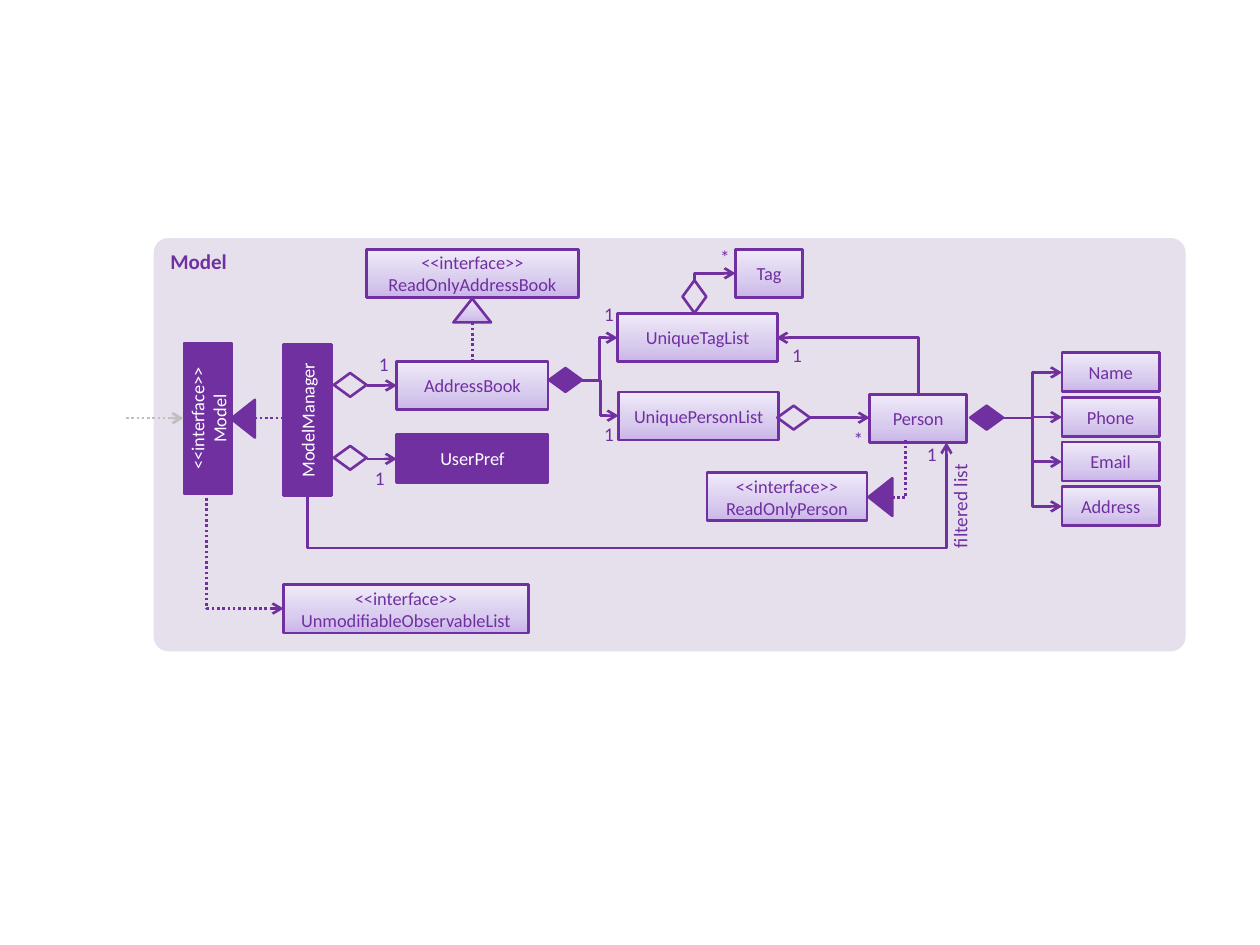
from copy import deepcopy
from dataclasses import dataclass

from lxml.etree import SubElement
from pptx import Presentation
from pptx.dml.color import RGBColor
from pptx.enum.dml import MSO_LINE as Dash
from pptx.enum.shapes import MSO_CONNECTOR as Link, MSO_SHAPE as Shape
from pptx.enum.text import MSO_ANCHOR as Anchor, PP_ALIGN as Align
from pptx.oxml.ns import qn
from pptx.util import Cm, Pt


@dataclass(frozen=True)
class Theme:
    """Colours, font and sizes of the diagram."""

    accent: str = "7030A0"
    panel: str = "E6E0EC"
    white: str = "FFFFFF"
    muted: str = "BFBFBF"
    shades: tuple = ((0, "C9B5E8"), (0.35, "D8CBEE"), (1, "F0EAF9"))
    font: str = "Calibri"
    heading: float = 12
    label: float = 11
    body: float = 10.5
    stroke: float = 1.5


def write(frame, text, *, font, size, color, bold=False, align=Align.CENTER, anchor=Anchor.MIDDLE):
    """Put text into a frame, one paragraph a line."""
    frame.word_wrap = True
    frame.vertical_anchor = anchor
    frame.text = text
    for para in frame.paragraphs:
        para.alignment = align
        for span in para.runs:
            span.font.name = font
            span.font.size = Pt(size)
            span.font.bold = bold
            span.font.color.rgb = RGBColor.from_string(color)


class Diagram:
    """Draw class-diagram elements on a page, with lengths in centimetres."""

    def __init__(self, page, theme):
        """Keep the page and its theme."""
        self.page = page
        self.theme = theme

    def shape(self, kind, left, top, width, height, fill=None, line=True, turn=0):
        """Add a preset shape; the fill is a colour, a tuple of shades or None."""
        box = self.page.shapes.add_shape(kind, Cm(left), Cm(top), Cm(width), Cm(height))
        box.shadow.inherit = False
        box.rotation = turn
        if fill is None:
            box.fill.background()
        elif isinstance(fill, tuple):
            self.shade(box, fill)
        else:
            box.fill.solid()
            box.fill.fore_color.rgb = RGBColor.from_string(fill)
        if line:
            box.line.color.rgb = RGBColor.from_string(self.theme.accent)
            box.line.width = Pt(self.theme.stroke)
        else:
            box.line.fill.background()
        return box

    def shade(self, box, shades):
        """Fill a box with a three-stop vertical gradient."""
        box.fill.gradient()
        box.fill.gradient_angle = 90
        stops = box._element.spPr.find(qn("a:gradFill")).find(qn("a:gsLst"))
        stops.insert(1, deepcopy(stops[0]))
        for stop, (position, color) in zip(box.fill.gradient_stops, shades):
            stop.position = position
            stop.color.rgb = RGBColor.from_string(color)

    def panel(self, title, left, top, width, height):
        """Add the rounded background with its heading."""
        theme = self.theme
        box = self.shape(Shape.ROUNDED_RECTANGLE, left, top, width, height, theme.panel, line=False)
        box.adjustments[0] = 0.035
        write(box.text_frame, title, font=theme.font, size=theme.heading, color=theme.accent,
              bold=True, align=Align.LEFT, anchor=Anchor.TOP)

    def node(self, text, left, top, width, height=0.97, solid=False, turn=0):
        """Add a class box, solid or shaded."""
        theme = self.theme
        fill, color = (theme.accent, theme.white) if solid else (theme.shades, theme.accent)
        box = self.shape(Shape.RECTANGLE, left, top, width, height, fill, turn=turn)
        write(box.text_frame, text, font=theme.font, size=theme.body, color=color)

    def diamond(self, left, top, fill=None, turn=0):
        """Add an aggregation or, when filled, a composition mark."""
        self.shape(Shape.FLOWCHART_DECISION, left, top, 0.66, 0.48, fill, turn=turn)

    def triangle(self, left, top, fill, turn=0):
        """Add an inheritance mark."""
        self.shape(Shape.ISOSCELES_TRIANGLE, left, top, 0.76, 0.48, fill, turn=turn)

    def label(self, text, left, top, width=0.53, height=0.5, margin=0, turn=0, align=Align.CENTER):
        """Add a small text beside a line."""
        theme = self.theme
        box = self.page.shapes.add_textbox(Cm(left), Cm(top), Cm(width), Cm(height))
        box.rotation = turn
        frame = box.text_frame
        frame.margin_left = frame.margin_right = Cm(margin)
        frame.margin_top = frame.margin_bottom = Cm(margin / 2)
        write(frame, text, font=theme.font, size=theme.label, color=theme.accent,
              align=align, anchor=Anchor.TOP)

    def link(self, begin, end, kind=Link.STRAIGHT, arrow="tailEnd", dotted=False, color=None):
        """Add a connector; arrow names the end that bears an arrowhead."""
        line = self.page.shapes.add_connector(kind, *map(Cm, begin + end))
        line.line.color.rgb = RGBColor.from_string(color or self.theme.accent)
        line.line.width = Pt(self.theme.stroke)
        if dotted:
            line.line.dash_style = Dash.ROUND_DOT
        outline = line._element.spPr
        if arrow:
            SubElement(outline.find(qn("a:ln")), qn(f"a:{arrow}"), type="arrow")
        SubElement(outline, qn("a:effectLst"))
        return line

    def corner(self, side, foot, **style):
        """Link two points with one bend, leaving the first point sideways."""
        line = self.link(side, foot, Link.ELBOW, **style)
        line._element.spPr.find(qn("a:prstGeom")).set("prst", "bentConnector2")

    def loop(self, begin, end, depth):
        """Link two points by a path that dips to the given depth."""
        width, height = begin[1] - end[1], end[0] - begin[0]
        left = (begin[0] + end[0] - width) / 2
        top = (begin[1] + end[1] - height) / 2
        line = self.link((left + width, top + height), (left, top), Link.ELBOW)
        outline = line._element.spPr
        outline.find(qn("a:xfrm")).set("rot", str(90 * 60000))
        bend = round((begin[1] - depth) / width * 100000)
        guides = outline.find(qn("a:prstGeom")).find(qn("a:avLst"))
        SubElement(guides, qn("a:gd"), name="adj1", fmla=f"val {bend}")


def draw_nodes(diagram):
    """Place the panel and the class boxes."""
    diagram.panel("Model", 3.1, 4.8, 20.8, 8.33)
    diagram.node("<<interface>>\nModel", 2.67, 7.95, 3.05, solid=True, turn=270)
    diagram.node("ModelManager", 4.67, 7.98, 3.05, solid=True, turn=270)
    diagram.node("UserPref", 8, 8.76, 3.05, solid=True)
    for text, left, top, width in (
        ("AddressBook", 8, 7.29, 3.05),
        ("UniquePersonList", 12.47, 7.9, 3.23),
        ("UniqueTagList", 12.45, 6.32, 3.23),
        ("Person", 17.53, 7.95, 1.96),
        ("Tag", 14.83, 5.03, 1.35),
        ("<<interface>>\nReadOnlyPerson", 14.25, 9.53, 3.23),
        ("<<interface>>\nReadOnlyAddressBook", 7.39, 5.03, 4.27),
        ("<<interface>>\nUnmodifiableObservableList", 5.72, 11.79, 4.93),
    ):
        diagram.node(text, left, top, width)
    for row, field in enumerate(("Name", "Phone", "Email", "Address")):
        top = 7.11 + 0.9 * row
        diagram.node(field, 21.41, top, 1.96, 0.79)
        diagram.link((20.22, 8.43), (21.41, top + 0.4), Link.ELBOW)


def draw_links(diagram):
    """Place the relations and their marks."""
    theme = diagram.theme
    diagram.link((2.54, 8.43), (3.7, 8.43), dotted=True, color=theme.muted)
    diagram.link((5.13, 8.43), (5.74, 8.43), arrow=None, dotted=True)
    diagram.link((9.53, 6.5), (9.53, 7.3), arrow=None, dotted=True)
    for left, right, height in ((7.39, 8, 7.77), (7.39, 8, 9.25), (16.33, 17.53, 8.42)):
        diagram.link((left, height), (right, height))
    for target in ((12.47, 8.38), (12.45, 6.81)):
        diagram.link((11.73, 7.67), target, Link.ELBOW)
    diagram.corner((17.98, 10.03), (18.26, 8.86), arrow=None, dotted=True)
    diagram.corner((5.72, 12.27), (4.17, 9.96), arrow="headEnd", dotted=True)
    diagram.corner((14.83, 5.51), (14, 5.66), arrow="headEnd")
    diagram.corner((15.65, 6.81), (18.52, 7.95), arrow="headEnd")
    diagram.loop((6.2, 9.96), (19.08, 8.92), 11.05)
    for left, top in ((6.73, 8.99), (6.73, 7.52), (15.67, 8.18)):
        diagram.diamond(left, top)
    diagram.diamond(13.67, 5.74, turn=270)
    for left, top in ((11.07, 7.42), (19.56, 8.18)):
        diagram.diamond(left, top, theme.accent)
    for left, top in ((4.52, 8.2), (17.37, 9.78)):
        diagram.triangle(left, top, theme.accent, turn=270)
    diagram.triangle(9.14, 6.02, theme.shades)


def draw_labels(diagram):
    """Place the multiplicities and the role name."""
    for text, left, top in (
        ("1", 12.01, 6.1), ("1", 12.01, 8.51), ("1", 15.8, 6.93), ("1", 7.47, 7.11),
        ("1", 7.39, 9.4), ("1", 18.52, 8.92), ("*", 14.35, 4.95), ("*", 17.04, 8.61),
    ):
        diagram.label(text, left, top)
    diagram.label("filtered list", 18.14, 9.96, 2.44, 0.74, margin=0.25, turn=270, align=Align.RIGHT)


def main():
    """Build the deck and save it."""
    deck = Presentation()
    deck.slide_width, deck.slide_height = Cm(25.4), Cm(19.05)
    diagram = Diagram(deck.slides.add_slide(deck.slide_layouts[6]), Theme())
    draw_nodes(diagram)
    draw_links(diagram)
    draw_labels(diagram)
    deck.save("out.pptx")


if __name__ == "__main__":
    main()
